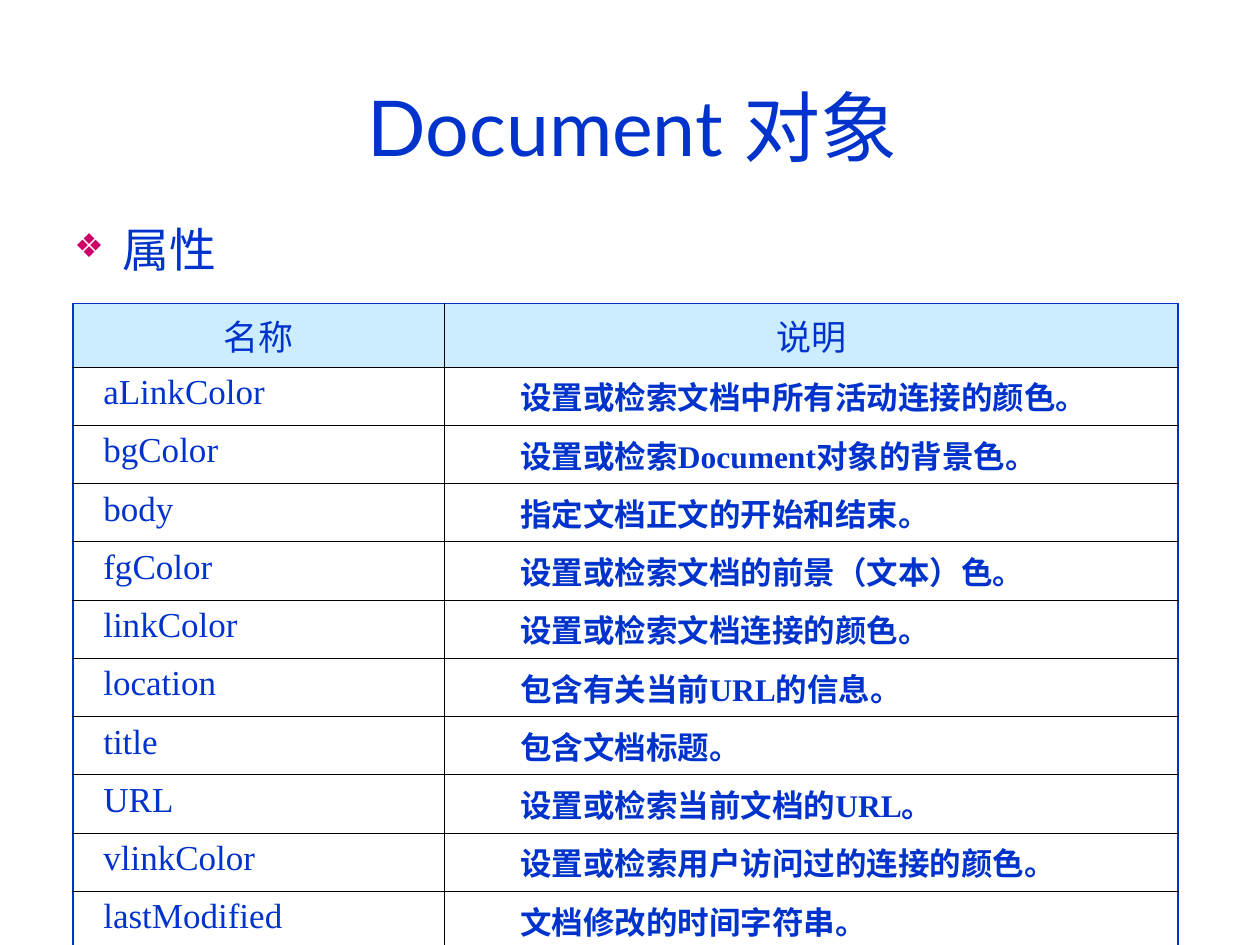
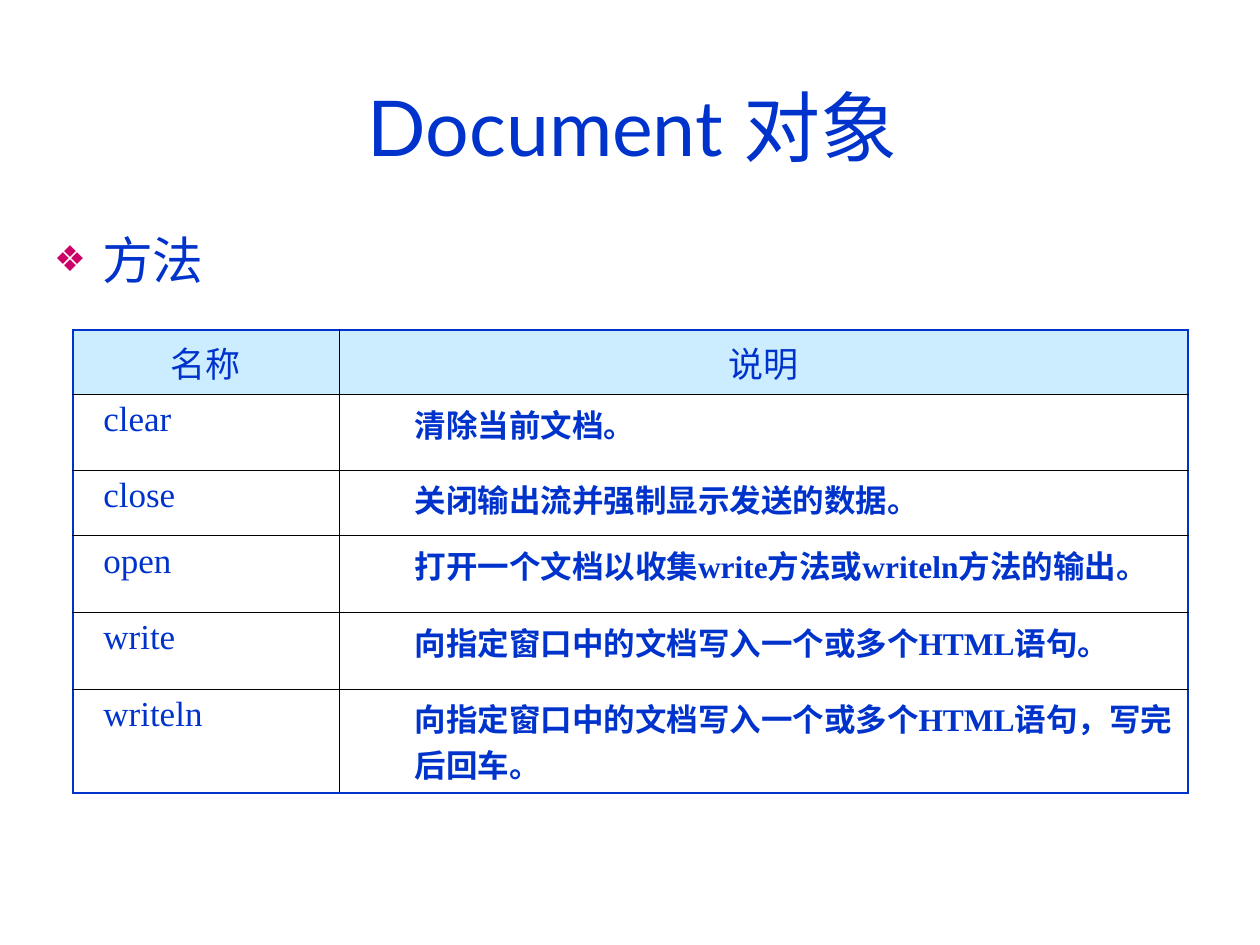
from lxml.etree import SubElement
from pptx import Presentation
from pptx.dml.color import RGBColor
from pptx.enum.lang import MSO_LANGUAGE_ID as Lang
from pptx.enum.text import MSO_ANCHOR as Anchor, MSO_AUTO_SIZE as AutoSize, PP_ALIGN as Align
from pptx.oxml import parse_xml
from pptx.oxml.ns import nsdecls, qn
from pptx.util import Inches, Pt

COLORS = {"blue": "0033CC", "bullet": "CC0066", "header": "CCECFF", "grid": "000000"}
WIDTH, HEIGHT = Inches(10), Inches(7.5)
COL, ROW = WIDTH / 100, HEIGHT / 75  # layout grid of 100 columns by 75 rows

# Boxes are left, top, width, height in columns and rows
TITLE = "Document 对象"
TITLE_BOX = (3.5, 3.7, 93.4, 12.5)
HEADINGS = ("名称", "说明")

PROPERTIES = [
    ("aLinkColor", "设置或检索文档中所有活动连接的颜色。"),
    ("bgColor", "设置或检索Document对象的背景色。"),
    ("body", "指定文档正文的开始和结束。"),
    ("fgColor", "设置或检索文档的前景（文本）色。"),
    ("linkColor", "设置或检索文档连接的颜色。"),
    ("location", "包含有关当前URL的信息。"),
    ("title", "包含文档标题。"),
    ("URL", "设置或检索当前文档的URL。"),
    ("vlinkColor", "设置或检索用户访问过的连接的颜色。"),
    ("lastModified", "文档修改的时间字符串。"),
]
METHODS = [
    ("clear", "清除当前文档。"),
    ("close", "关闭输出流并强制显示发送的数据。"),
    ("open", "打开一个文档以收集write方法或writeln方法的输出。"),
    ("write", "向指定窗口中的文档写入一个或多个HTML语句。"),
    ("writeln", "向指定窗口中的文档写入一个或多个HTML语句，写完后回车。"),
]


def add_run(paragraph, text, size, font, bold=False):
    run = paragraph.add_run()
    run.text = text
    run.font.name, run.font.size, run.font.bold = font, Pt(size), bold
    run.font.color.rgb = RGBColor.from_string(COLORS["blue"])
    run.font.language_id = Lang.SIMPLIFIED_CHINESE


def place(shape, box):
    left, top, width, height = box
    shape.left, shape.width = int(left * COL), int(width * COL)
    shape.top, shape.height = int(top * ROW), int(height * ROW)


def indent(paragraph, left, first=0):
    properties = paragraph._p.get_or_add_pPr()
    properties.set("marL", str(Inches(left)))
    properties.set("indent", str(Inches(first)))
    return properties


def fill_title(title):
    place(title, TITLE_BOX)
    frame = title.text_frame
    frame.auto_size, frame.vertical_anchor = AutoSize.NONE, Anchor.MIDDLE
    frame.paragraphs[0].alignment = Align.CENTER
    add_run(frame.paragraphs[0], TITLE, 44, "Lato")


def fill_topic(body, box, text, size, spacing):
    place(body, box)
    frame = body.text_frame
    frame.auto_size = AutoSize.NONE
    paragraph = frame.paragraphs[0]
    properties = indent(paragraph, 0.38, -0.38)
    color = SubElement(properties, qn("a:buClr"))
    SubElement(color, qn("a:srgbClr"), val=COLORS["bullet"])
    SubElement(properties, qn("a:buSzPct"), val="70000")
    SubElement(properties, qn("a:buChar"), char="❖")
    paragraph.line_spacing, paragraph.space_before = spacing, Pt(0)
    add_run(paragraph, text, size, "Arial")


def set_borders(cell, outer):
    """Draw the four sides; those named in outer belong to the table's frame."""
    properties = cell._tc.get_or_add_tcPr()
    for position, side in enumerate("LRTB"):
        color, width = (COLORS["blue"], 1.08) if side in outer else (COLORS["grid"], 0.45)
        properties.insert(position, parse_xml(
            f'<a:ln{side} {nsdecls("a")} w="{Pt(width)}"><a:solidFill>'
            f'<a:srgbClr val="{color}"/></a:solidFill></a:ln{side}>'))


def fill_heading(cell, text):
    cell.fill.solid()
    cell.fill.fore_color.rgb = RGBColor.from_string(COLORS["header"])
    cell.vertical_anchor = Anchor.MIDDLE
    paragraph = cell.text_frame.paragraphs[0]
    paragraph.alignment = Align.CENTER
    add_run(paragraph, text, 20, "Times New Roman")


def fill_entry(cell, text, is_name):
    cell.fill.background()
    paragraph = cell.text_frame.paragraphs[0]
    if not is_name:
        paragraph.level = 1
    indent(paragraph, 0.14 if is_name else 0.5)
    add_run(paragraph, text, 20 if is_name else 18, "Times New Roman", bold=not is_name)


def add_reference(slide, left, top, widths, heights, entries):
    rows = [HEADINGS, *entries]
    table = slide.shapes.add_table(
        len(rows), len(widths), int(left * COL), int(top * ROW),
        int(sum(widths) * COL), int(sum(heights) * ROW)).table
    table.first_row = table.horz_banding = False
    for column, width in zip(table.columns, widths):
        column.width = int(width * COL)
    for row, height in zip(table.rows, heights):
        row.height = int(height * ROW)
    for r, texts in enumerate(rows):
        for c, text in enumerate(texts):
            cell = table.cell(r, c)
            if r == 0:
                fill_heading(cell, text)
            else:
                fill_entry(cell, text, is_name=c == 0)
            outer = "L" if c == 0 else "R"
            outer += "T" * (r == 0) + "B" * (r == len(rows) - 1)
            set_borders(cell, outer)


def add_object_slide(deck, topic, reference):
    slide = deck.slides.add_slide(deck.slide_layouts[1])
    fill_title(slide.shapes.title)
    fill_topic(slide.placeholders[1], *topic)
    add_reference(slide, 5.8, *reference)


def main():
    deck = Presentation()
    deck.slide_width, deck.slide_height = WIDTH, HEIGHT
    # Properties
    add_object_slide(deck, ((4.9, 18.6, 16.2, 4.1), "属性", 26.8, 0.6),
                     (24.1, (29.5, 58.2), [3.3, 4.1] + [3.6] * 9, PROPERTIES))
    # Methods
    add_object_slide(deck, ((3.3, 18.6, 24.4, 5.5), "方法", 29, 0.8),
                     (26.2, (21.1, 67.4), [5.1, 6, 5.2] + [6.1] * 3, METHODS))
    deck.save("out.pptx")


if __name__ == "__main__":
    main()
